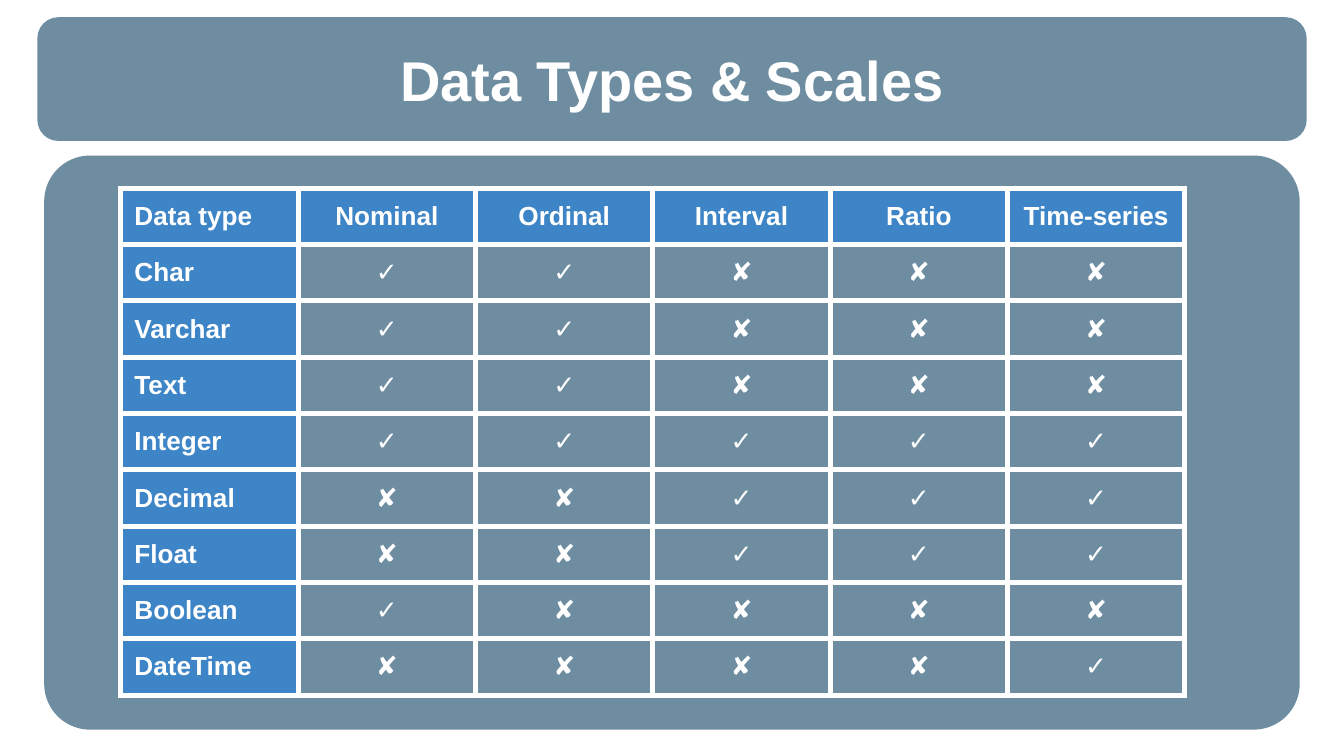
from dataclasses import dataclass

from lxml import etree
from pptx import Presentation
from pptx.dml.color import RGBColor
from pptx.enum.shapes import MSO_SHAPE
from pptx.enum.text import MSO_ANCHOR, PP_ALIGN
from pptx.oxml.ns import qn
from pptx.util import Pt

ROUNDED = MSO_SHAPE.ROUNDED_RECTANGLE
MIDDLE, TOP = MSO_ANCHOR.MIDDLE, MSO_ANCHOR.TOP
LEFT, CENTER = PP_ALIGN.LEFT, PP_ALIGN.CENTER
TITLE_ONLY = 5
YES, NO = "✓", "✘"


@dataclass(frozen=True)
class Theme:
    font: str = "Arial"
    panel: str = "215170"
    panel_opacity: int = 65
    header: str = "3D85C6"
    light: str = "FFFFFF"
    title_size: float = 30
    table_size: float = 14
    border: float = 3
    inset: float = 7.2


SCALES = ["Nominal", "Ordinal", "Interval", "Ratio", "Time-series"]
# Scales that each data type supports
CATEGORICAL = {"Nominal", "Ordinal"}
NUMERIC = {"Interval", "Ratio", "Time-series"}
SUPPORT = {
    "Char": CATEGORICAL,
    "Varchar": CATEGORICAL,
    "Text": CATEGORICAL,
    "Integer": CATEGORICAL | NUMERIC,
    "Decimal": NUMERIC,
    "Float": NUMERIC,
    "Boolean": {"Nominal"},
    "DateTime": {"Time-series"},
}


def write_text(frame, text, *, font, size, color, bold=True, align=LEFT):
    """Put one formatted paragraph in a text frame."""
    para = frame.paragraphs[0]
    para.alignment = align
    span = para.add_run()
    span.text = text
    span.font.name = font
    span.font.size = Pt(size)
    span.font.bold = bold
    span.font.color.rgb = RGBColor.from_string(color)


class SlideBuilder:
    def __init__(self, page, theme):
        self.page = page
        self.theme = theme

    def panel(self, left, top, width, height, rounding):
        """Add a translucent rounded panel."""
        shape = self.page.shapes.add_shape(
            ROUNDED, Pt(left), Pt(top), Pt(width), Pt(height))
        shape.adjustments[0] = rounding
        shape.shadow.inherit = False
        shape.line.fill.background()
        shape.fill.solid()
        shape.fill.fore_color.rgb = RGBColor.from_string(self.theme.panel)
        color = shape.fill._xPr.find(".//" + qn("a:srgbClr"))
        etree.SubElement(color, qn("a:alpha"),
                         val=str(self.theme.panel_opacity * 1000))

    def title(self, text, left, top, width, height):
        """Format the title placeholder and bring it above the panels."""
        box = self.page.shapes.title
        box.left, box.top = Pt(left), Pt(top)
        box.width, box.height = Pt(width), Pt(height)
        self.page.shapes._spTree.append(box._element)
        frame = box.text_frame
        frame.word_wrap = True
        frame.vertical_anchor = MIDDLE
        self.set_margins(frame)
        write_text(frame, text, font=self.theme.font, align=CENTER,
                   size=self.theme.title_size, color=self.theme.light)

    def table(self, rows, left, top, column_width, row_height):
        """Add a table with a filled header row and header column."""
        count, columns = len(rows), len(rows[0])
        table = self.page.shapes.add_table(
            count, columns, Pt(left), Pt(top),
            Pt(column_width * columns), Pt(row_height * count)).table
        table.horz_banding = False
        for column in table.columns:
            column.width = Pt(column_width)
        for row in table.rows:
            row.height = Pt(row_height)
        for r, values in enumerate(rows):
            for c, text in enumerate(values):
                self.cell(table.cell(r, c), text, header=r == 0 or c == 0,
                          align=CENTER if c else LEFT)

    def cell(self, cell, text, *, header, align):
        """Fill, border and label one table cell."""
        self.set_margins(cell)
        cell.vertical_anchor = TOP
        self.borders(cell)
        if header:
            cell.fill.solid()
            cell.fill.fore_color.rgb = RGBColor.from_string(self.theme.header)
        else:
            cell.fill.background()
        write_text(cell.text_frame, text, font=self.theme.font, align=align,
                   size=self.theme.table_size, color=self.theme.light)

    def borders(self, cell):
        """Draw the same line on all four sides of a cell."""
        properties = cell._tc.get_or_add_tcPr()
        for side in ("a:lnL", "a:lnR", "a:lnT", "a:lnB"):
            line = etree.SubElement(properties, qn(side),
                                    w=str(Pt(self.theme.border)))
            fill = etree.SubElement(line, qn("a:solidFill"))
            etree.SubElement(fill, qn("a:srgbClr"), val=self.theme.light)

    def set_margins(self, target):
        target.margin_left = target.margin_right = Pt(self.theme.inset)
        target.margin_top = target.margin_bottom = Pt(self.theme.inset)


def main():
    deck = Presentation()
    deck.slide_width, deck.slide_height = Pt(720), Pt(405)
    page = deck.slides.add_slide(deck.slide_layouts[TITLE_ONLY])
    builder = SlideBuilder(page, Theme())

    # Title and body panels
    builder.panel(20, 9.2, 680, 66.3, 0.17)
    builder.panel(23.7, 83.3, 672.6, 307.6, 0.08)
    builder.title("Data Types & Scales", 23.7, 21, 672.6, 43.2)

    # Which scales suit each data type
    rows = [["Data type", *SCALES]]
    for data_type, supported in SUPPORT.items():
        marks = [YES if scale in supported else NO for scale in SCALES]
        rows.append([data_type, *marks])
    builder.table(rows, 64.8, 100.9, 95, 30.06)

    deck.save("out.pptx")


if __name__ == "__main__":
    main()
